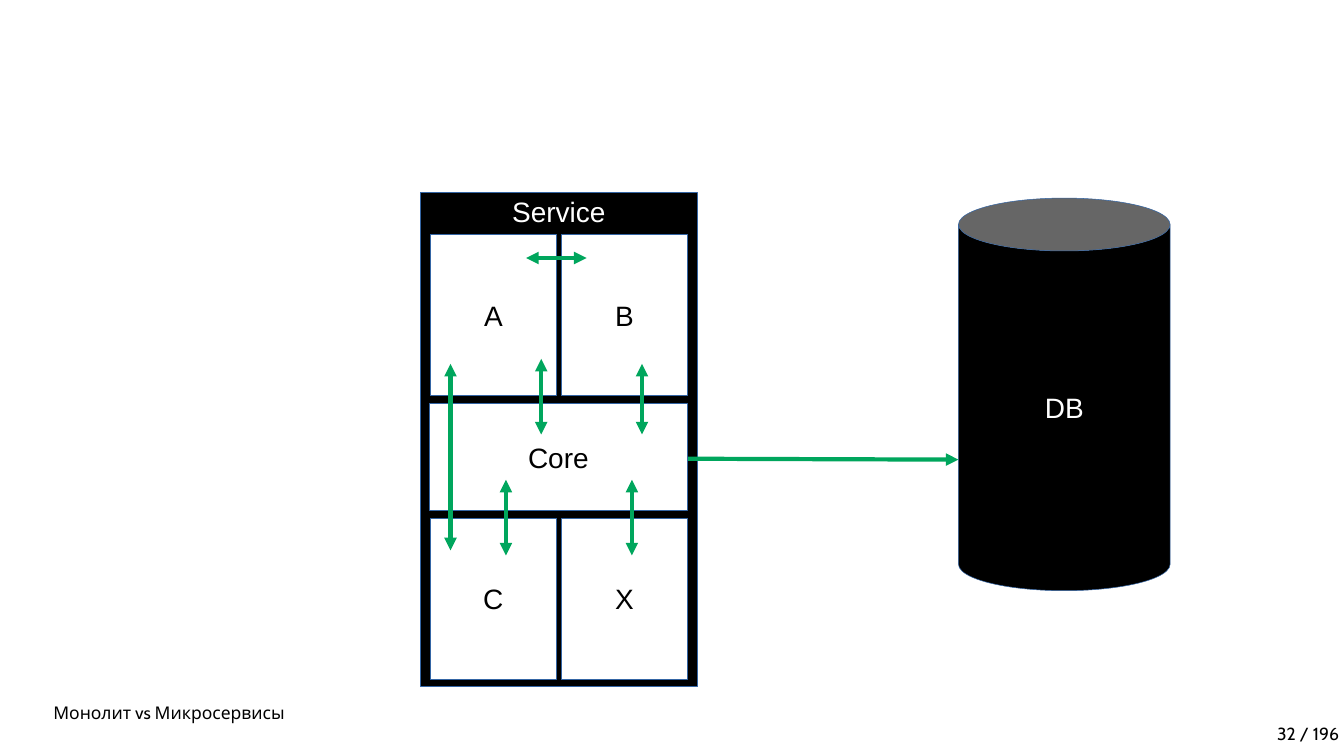
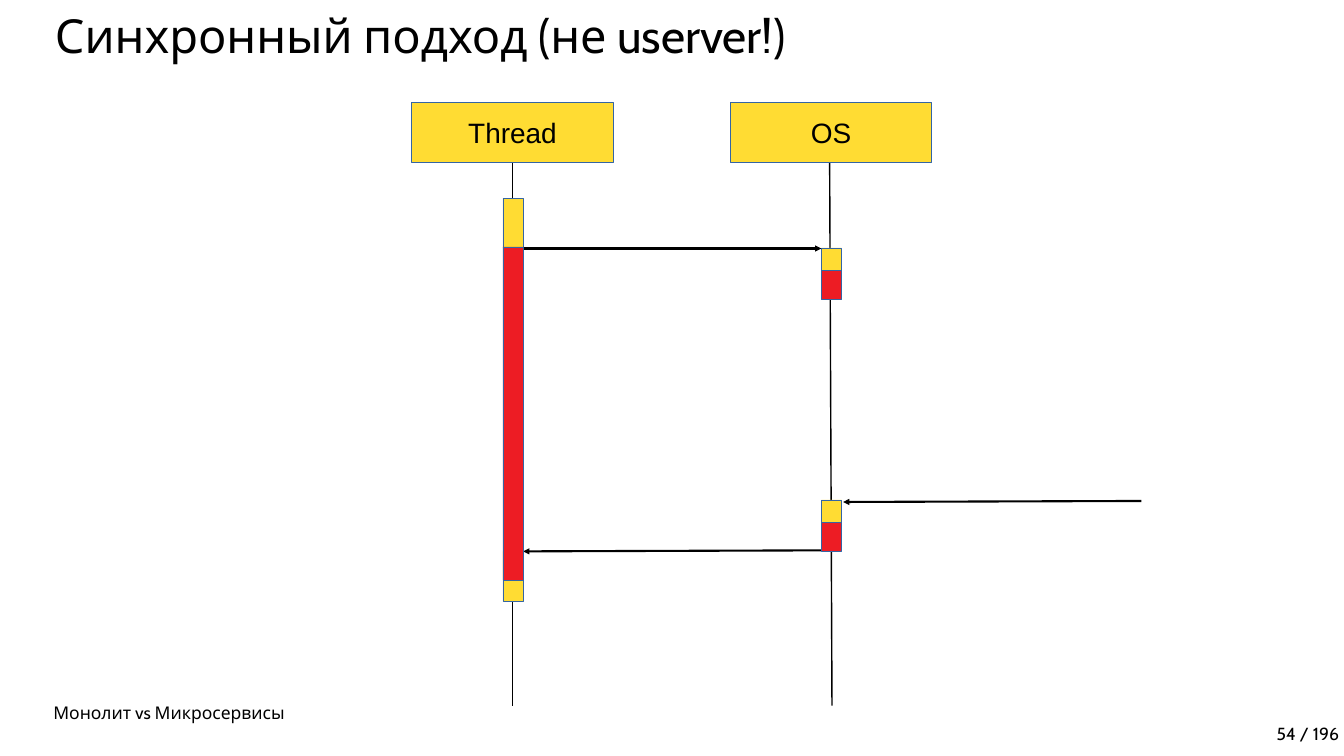
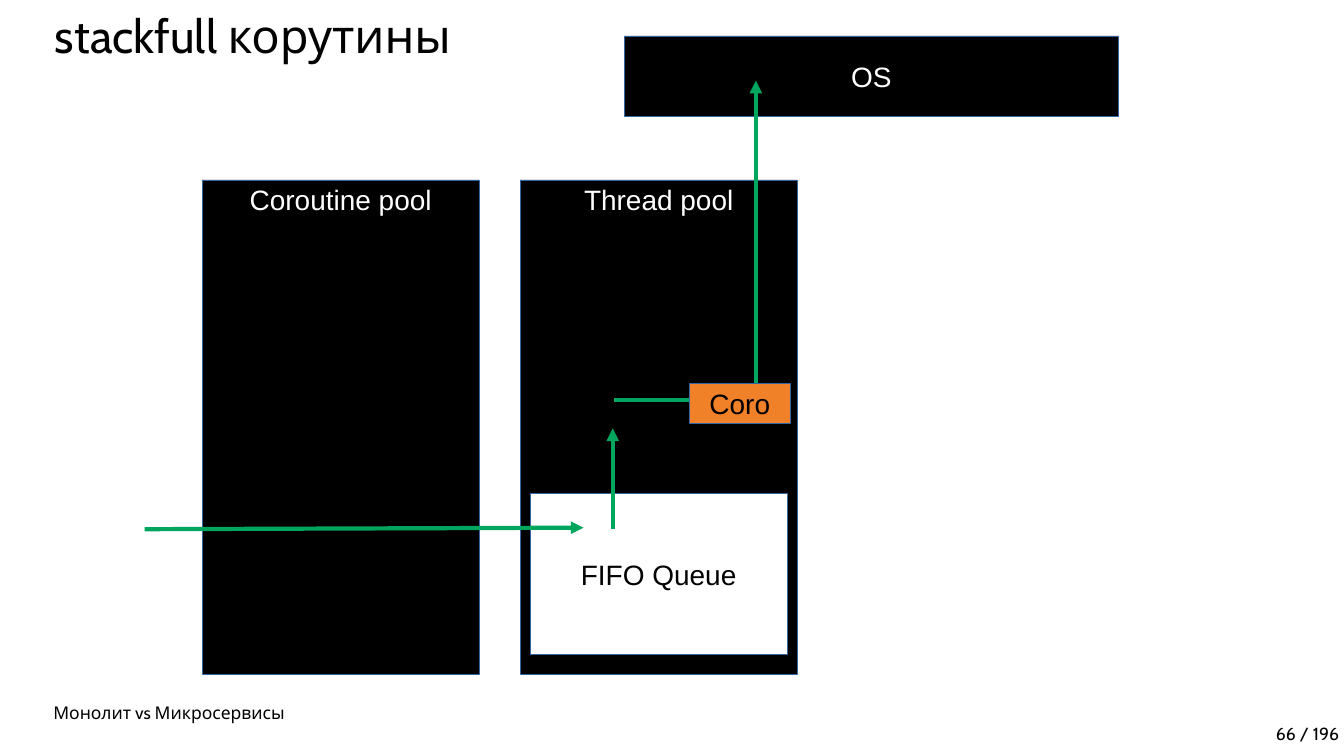
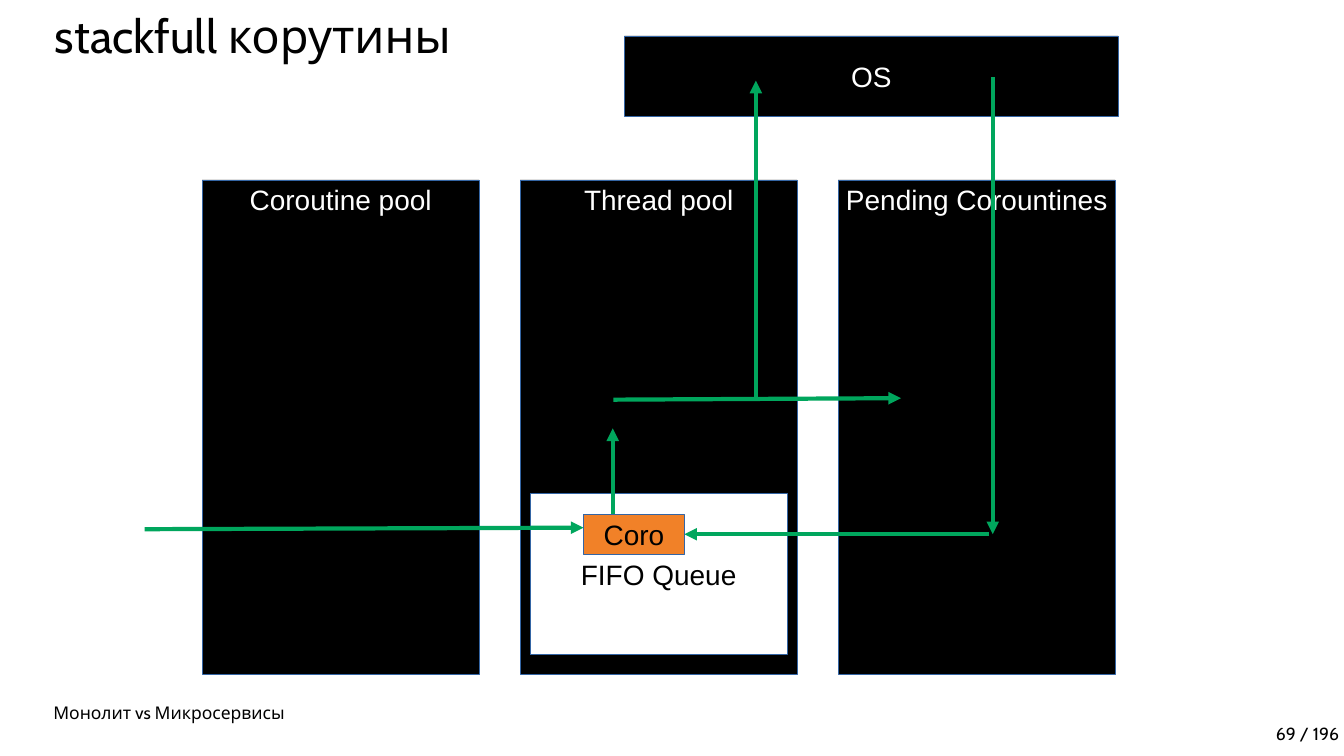
import pptx
import pptx.dml.color
import pptx.enum.shapes
import pptx.enum.text
import pptx.oxml
import pptx.oxml.ns
import pptx.util

SCALE = 9144
SHAPES = pptx.enum.shapes.MSO_SHAPE
ALIGN = pptx.enum.text.PP_ALIGN
ANCHOR = pptx.enum.text.MSO_ANCHOR

BLACK, WHITE = "000000", "FFFFFF"
YELLOW, RED, ORANGE = "FFDC33", "ED1C24", "F18128"
GREEN, OUTLINE = "00A65D", "3465A4"

POOL_TOP, POOL_WIDTH, POOL_HEIGHT = 357, 550, 980
POOL_LEFT, POOL_STEP = 401, 631


def px(*lengths):
    return [pptx.util.Emu(length * SCALE) for length in lengths]


def color(value):
    return pptx.dml.color.RGBColor.from_string(value)


def write(shape, text, *, size=40, font="Arial", ink=BLACK, align=ALIGN.CENTER,
          anchor=ANCHOR.MIDDLE, wrap=False, spacing=1.0):
    frame = shape.text_frame
    frame.word_wrap = wrap
    frame.auto_size = pptx.enum.text.MSO_AUTO_SIZE.NONE
    frame.vertical_anchor = anchor
    frame.margin_left, frame.margin_top, frame.margin_right, frame.margin_bottom = px(10, 5, 10, 5)
    paragraph = frame.paragraphs[0]
    paragraph.alignment = align
    paragraph.line_spacing = spacing
    run = paragraph.add_run()
    run.text = text
    run.font.size = pptx.util.Pt(size)
    run.font.name = font
    run.font.color.rgb = color(ink)


class Deck:
    heading_font = "Cabin"
    topic = "Монолит vs Микросервисы"
    page_count = 196

    def __init__(self):
        self.presentation = pptx.Presentation()
        self.presentation.slide_width, self.presentation.slide_height = px(2667, 1500)
        self.slide = None

    def new_slide(self, page, title=None):
        layout = self.presentation.slide_layouts[5 if title else 6]
        self.slide = self.presentation.slides.add_slide(layout)
        if title:
            self.title(title)
        self.footer(self.topic, 96, 1385, ALIGN.LEFT)
        self.footer(f"{page} / {self.page_count}", 1532, 1425, ALIGN.RIGHT)

    def title(self, text):
        shape = self.slide.shapes.title
        shape.left, shape.top, shape.width, shape.height = px(99, 20, 2620, 140)
        write(shape, text, size=67, font=self.heading_font, align=ALIGN.LEFT,
              anchor=ANCHOR.TOP, wrap=True, spacing=0.9)

    def footer(self, text, left, top, align):
        shape = self.slide.shapes.add_textbox(*px(left, top, 1135, 56))
        write(shape, text, size=25, font=self.heading_font, align=align,
              anchor=ANCHOR.BOTTOM, wrap=True, spacing=0.9)

    def box(self, left, top, width, height, fill, text=None, kind=SHAPES.RECTANGLE,
            anchor=ANCHOR.MIDDLE):
        shape = self.slide.shapes.add_shape(kind, *px(left, top, width, height))
        shape.shadow.inherit = False
        shape.fill.solid()
        shape.fill.fore_color.rgb = color(fill)
        shape.line.color.rgb = color(OUTLINE)
        shape.line.width = pptx.util.Pt(0)
        if text:
            write(shape, text, ink=WHITE if fill == BLACK else BLACK, anchor=anchor)

    def line(self, start_x, start_y, end_x, end_y, ink=GREEN, width=6, ends=("tailEnd",)):
        connector = self.slide.shapes.add_connector(
            pptx.enum.shapes.MSO_CONNECTOR.STRAIGHT, *px(start_x, start_y, end_x, end_y))
        connector.line.color.rgb = color(ink)
        connector.line.width = pptx.util.Pt(width)
        outline = connector.line._get_or_add_ln()
        for end in ends:
            arrow = pptx.oxml.parse_xml(
                f'<a:{end} {pptx.oxml.ns.nsdecls("a")} type="triangle"/>')
            outline.append(arrow)
        connector._element.spPr.append(
            pptx.oxml.parse_xml(f'<a:effectLst {pptx.oxml.ns.nsdecls("a")}/>'))

    def two_way(self, *points):
        self.line(*points, ends=("headEnd", "tailEnd"))

    def message(self, *points):
        self.line(*points, ink=BLACK, width=3)

    def lifeline(self, *points):
        self.line(*points, ink=BLACK, width=0, ends=())

    def pools(self, *names):
        self.box(1239, 71, 980, 159, BLACK, "OS")
        for index, name in enumerate(names):
            self.box(POOL_LEFT + index * POOL_STEP, POOL_TOP, POOL_WIDTH, POOL_HEIGHT,
                     BLACK, name, anchor=ANCHOR.TOP)
        self.box(POOL_LEFT + POOL_STEP + 20, 979, 510, 320, WHITE, "FIFO Queue")
        self.line(1216, 1050, 1216, 850)
        self.line(287, 1050, 1158, 1047)
        self.line(1500, 793, 1500, 160)

    def coroutine(self, left, top):
        self.box(left, top, 200, 80, ORANGE, "Coro")


def monolith_slide(deck):
    deck.new_slide(32)
    deck.box(834, 382, POOL_WIDTH, POOL_HEIGHT, BLACK, "Service", anchor=ANCHOR.TOP)
    for index, name in enumerate("ABCX"):
        row, column = divmod(index, 2)
        deck.box(854 + column * 260, 465 + row * 563, 250, 320, WHITE, name)
    deck.box(1902, 393, 420, 779, BLACK, "DB", kind=SHAPES.CAN)
    deck.two_way(1310, 910, 1902, 912)
    deck.two_way(1164, 512, 1044, 512)
    deck.box(852, 801, 512, 211, WHITE, "Core")
    for x, bottom, top in [(894, 1092, 722), (1274, 862, 722), (1074, 862, 712),
                           (1004, 1102, 952), (1254, 1102, 952)]:
        deck.two_way(x, bottom, x, top)


def synchronous_slide(deck):
    deck.new_slide(54, "Синхронный подход (не userver!)")
    deck.lifeline(1017, 250, 1017, 1400)
    deck.lifeline(1646, 240, 1651, 1400)
    thread_left, system_left, bar_width = 998, 1630, 40
    thread_right = thread_left + bar_width
    for left, name in [(817, "Thread"), (1449, "OS")]:
        deck.box(left, 203, 400, 120, YELLOW, name)
    for left, top in [(thread_left, 393), (system_left, 492),
                      (system_left, 992), (thread_left, 1094)]:
        deck.box(left, top, bar_width, 100, YELLOW)
    deck.message(thread_right, 493, system_left, 493)
    deck.message(system_left, 1092, thread_right, 1094)
    for left, top, height in [(thread_left, 490, 661), (system_left, 537, 57),
                              (system_left, 1036, 57)]:
        deck.box(left, top, bar_width, height, RED)
    deck.message(2265, 994, 1673, 996)


def running_coroutine_slide(deck):
    deck.new_slide(66, "stackfull корутины")
    deck.pools("Coroutine pool", "Thread pool")
    deck.line(1218, 793, 1500, 793)
    deck.coroutine(1368, 760)


def resumed_coroutine_slide(deck):
    deck.new_slide(69, "stackfull корутины")
    deck.pools("Coroutine pool", "Thread pool", "Pending Corountines")
    deck.line(1217, 793, 1788, 790)
    deck.line(1970, 153, 1970, 1060)
    deck.line(1963, 1060, 1358, 1060)
    deck.coroutine(1158, 1020)


def main():
    deck = Deck()
    monolith_slide(deck)
    synchronous_slide(deck)
    running_coroutine_slide(deck)
    resumed_coroutine_slide(deck)
    deck.presentation.save("out.pptx")


if __name__ == "__main__":
    main()
